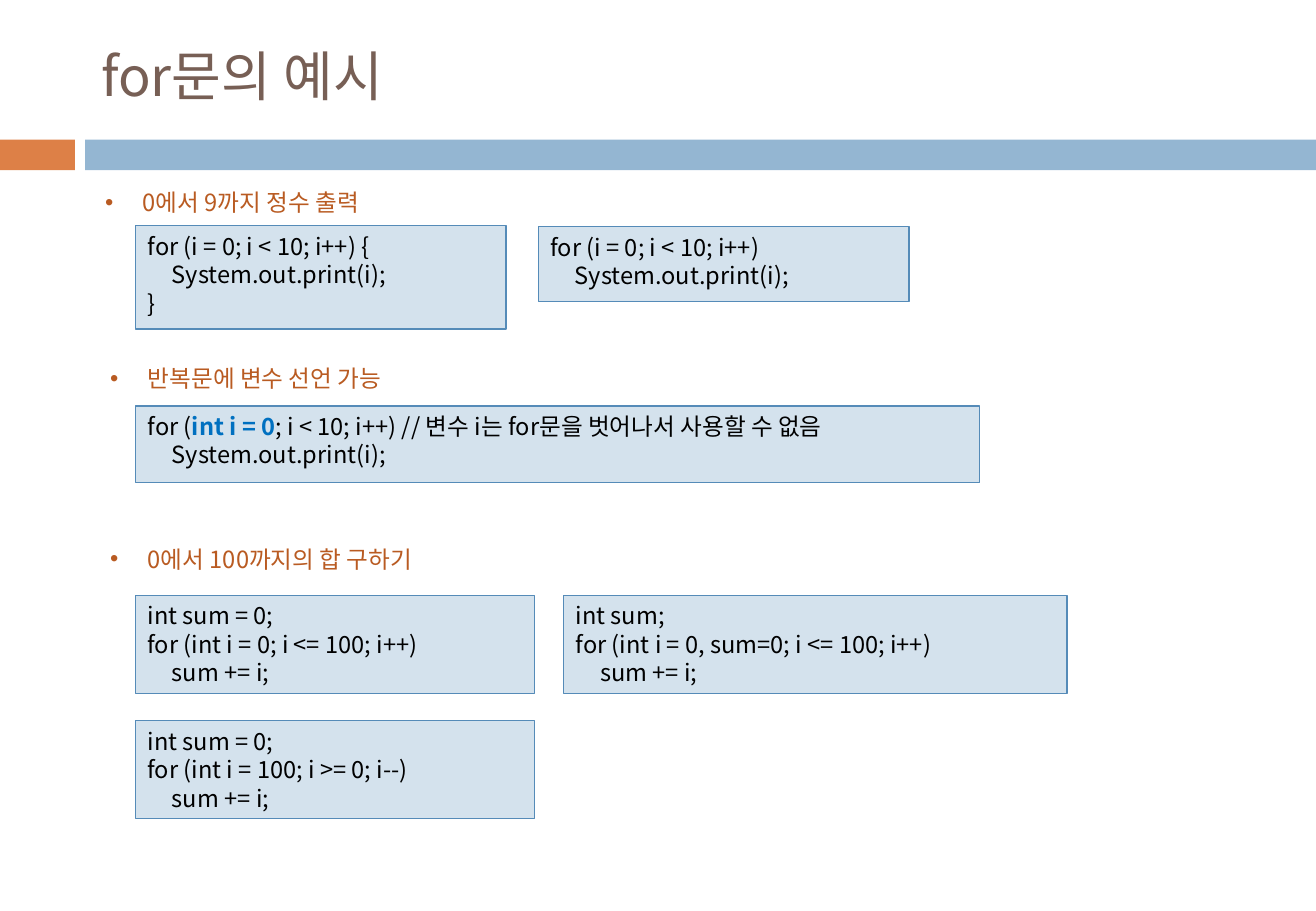
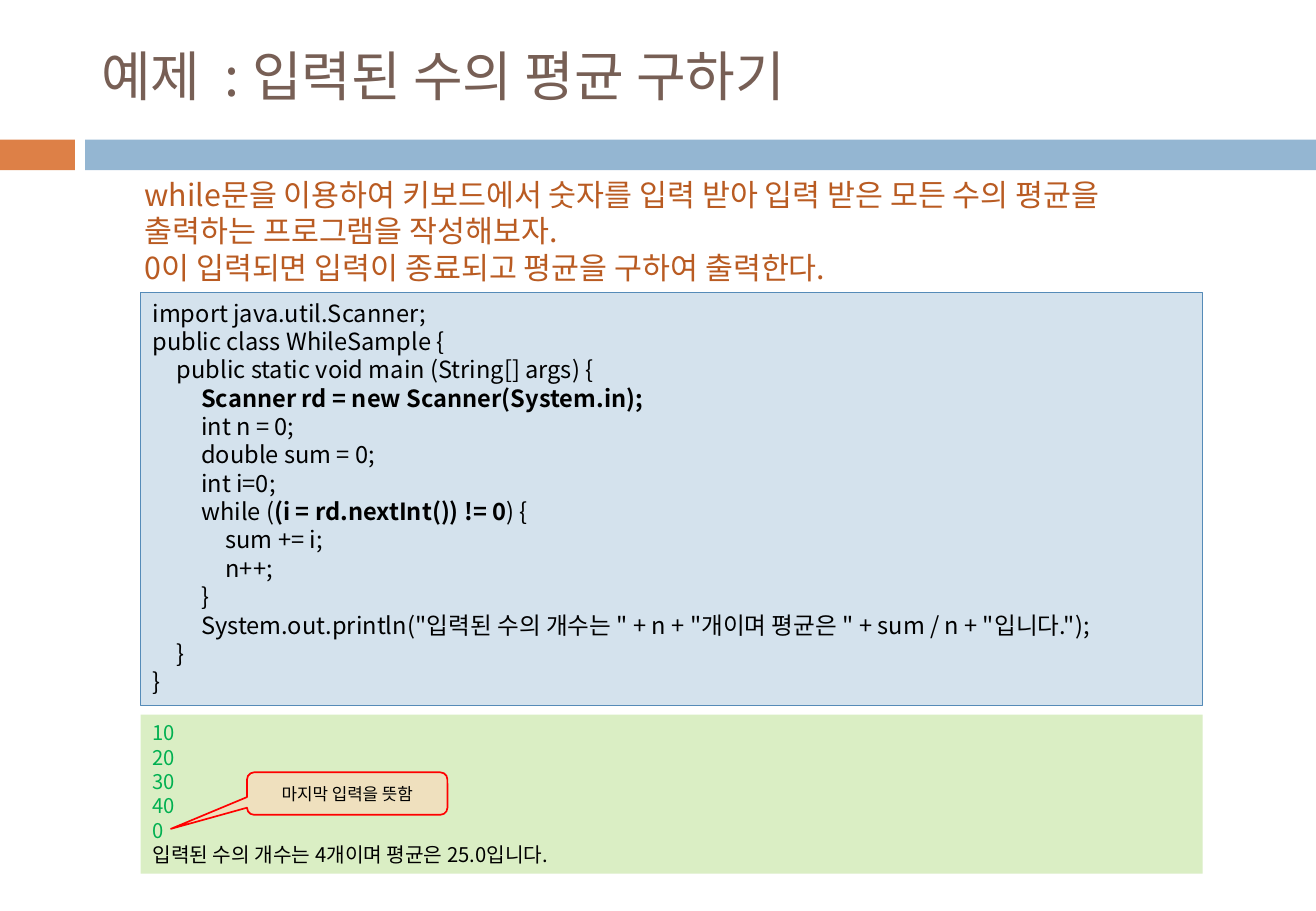
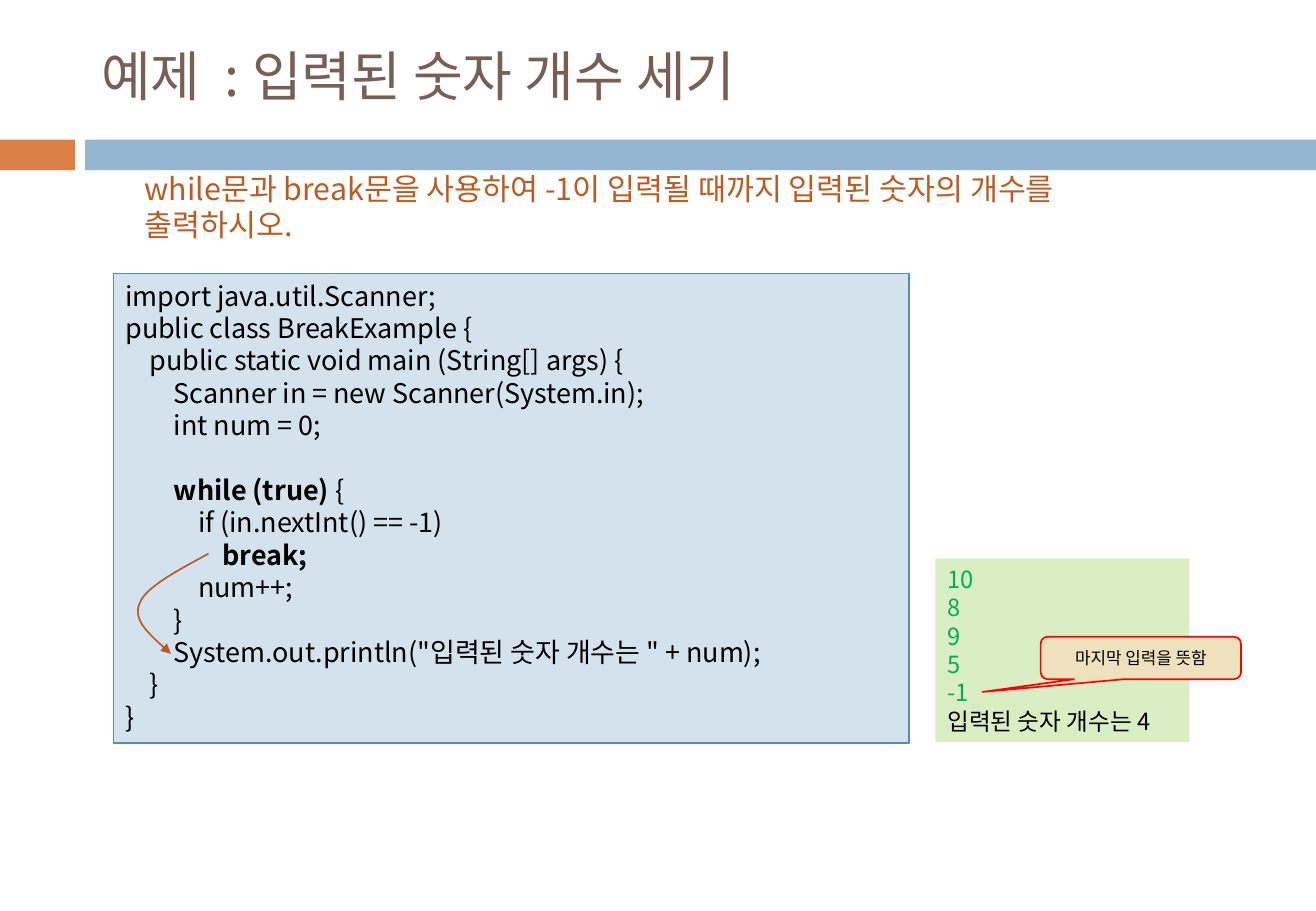
from lxml import etree
from pptx import Presentation
from pptx.dml.color import RGBColor
from pptx.enum.shapes import MSO_SHAPE
from pptx.enum.text import MSO_ANCHOR, PP_ALIGN
from pptx.oxml.ns import qn
from pptx.util import Inches, Pt

RECTANGLE = MSO_SHAPE.RECTANGLE
CALLOUT = MSO_SHAPE.ROUNDED_RECTANGULAR_CALLOUT
TOP, MIDDLE = MSO_ANCHOR.TOP, MSO_ANCHOR.MIDDLE
LEFT, CENTER = PP_ALIGN.LEFT, PP_ALIGN.CENTER

FONT = "Noto Sans CJK KR"
BLACK = RGBColor(0x00, 0x00, 0x00)
BROWN = RGBColor(0x77, 0x5F, 0x55)
ORANGE = RGBColor(0xDD, 0x80, 0x47)
RUST = RGBColor(0xB9, 0x5B, 0x22)
BAND_BLUE = RGBColor(0x94, 0xB6, 0xD2)
CODE_FILL = RGBColor(0xD4, 0xE2, 0xED)
CODE_LINE = RGBColor(0x55, 0x8B, 0xB8)
KEYWORD_BLUE = RGBColor(0x00, 0x70, 0xC0)
OUTPUT_FILL = RGBColor(0xDA, 0xEE, 0xC4)
INPUT_GREEN = RGBColor(0x00, 0xB0, 0x50)
NOTE_FILL = RGBColor(0xEF, 0xE0, 0xBE)
RED = RGBColor(0xFF, 0x00, 0x00)

# The slide is a grid of 130 columns by 90 rows of square cells.
COLUMNS, ROWS = 130, 90
CELL = Inches(1) // 12
BAND_ROW, BAND_ROWS = 13.8, 3
CODE_COL = 13.4
SUM_ROW, SUM_COLS, SUM_ROWS = 58.8, 39.4, 9.7
AVERAGE_COL, AVERAGE_COLS = 13.9, 104.9
PROMPT_COL, PROMPT_COLS = 13.1, 102.6
INDENT = Inches(0.2)
BULLET_INDENT = Inches(0.31)
LINE_HEIGHT = 1.2

PRINT_BRACES = """for (i = 0; i < 10; i++) {
    System.out.print(i);
}"""
PRINT_PLAIN = """for (i = 0; i < 10; i++)
    System.out.print(i);"""
PRINT_LOCAL = """for (**int i = 0**; i < 10; i++) // 변수 i는 for문을 벗어나서 사용할 수 없음
    System.out.print(i);"""
SUM_UP = """int sum = 0;
for (int i = 0; i <= 100; i++)
    sum += i;"""
SUM_IN_HEADER = """int sum;
for (int i = 0, sum=0; i <= 100; i++)
    sum += i;"""
SUM_DOWN = """int sum = 0;
for (int i = 100; i >= 0; i--)
    sum += i;"""
AVERAGE_CODE = """import java.util.Scanner;
public class WhileSample {
    public static void main (String[] args) {
        **Scanner rd = new Scanner(System.in);**
        int n = 0;
        double sum = 0;
        int i=0;
        while (**(i = rd.nextInt()) != 0**) {
            sum += i;
            n++;
        }
        System.out.println("입력된 수의 개수는 " + n + "개이며 평균은 " + sum / n + "입니다.");
    }
}"""
BREAK_CODE = """import java.util.Scanner;
public class BreakExample {
    public static void main (String[] args) {
        Scanner in = new Scanner(System.in);
        int num = 0;

        **while (true) **{
            if (in.nextInt() == -1)
                **break;**
            num++;
        }
        System.out.println("입력된 숫자 개수는 " + num);
    }
}"""


def cells(*counts):
    return [round(count * CELL) for count in counts]


def format_paragraph(paragraph, size, color):
    font = paragraph.font
    font.size, font.name = Pt(size), FONT
    font.color.rgb = color
    defaults = paragraph._p.pPr.find(qn("a:defRPr"))
    etree.SubElement(defaults, qn("a:ea"), typeface=FONT)


def add_tab_stops(paragraph):
    stops = etree.SubElement(paragraph._p.get_or_add_pPr(), qn("a:tabLst"))
    for level in range(1, 5):
        etree.SubElement(stops, qn("a:tab"), pos=str(level * INDENT), algn="l")


def add_bullet(paragraph):
    properties = paragraph._p.get_or_add_pPr()
    properties.set("marL", str(BULLET_INDENT))
    properties.set("indent", str(-BULLET_INDENT))
    etree.SubElement(properties, qn("a:buFont"), typeface="Arial")
    etree.SubElement(properties, qn("a:buChar"), char="•")


def write_lines(shape, lines, size, color, anchor=TOP, align=LEFT,
                prepare=None, strong_color=None):
    """Write one paragraph per line; text between ** marks is bold."""
    frame = shape.text_frame
    frame.word_wrap = True
    frame.vertical_anchor = anchor
    for number, line in enumerate(lines):
        paragraph = frame.paragraphs[0] if number == 0 else frame.add_paragraph()
        paragraph.alignment = align
        if prepare:
            prepare(paragraph)
        format_paragraph(paragraph, size, color)
        paragraph.line_spacing = Pt(size * LINE_HEIGHT)
        for part, text in enumerate(line.split("**")):
            if not text:
                continue
            run = paragraph.add_run()
            run.text = text
            if part % 2:
                run.font.bold = True
                if strong_color:
                    run.font.color.rgb = strong_color


def add_panel(slide, box, fill, line=None, width=0.75, kind=RECTANGLE):
    panel = slide.shapes.add_shape(kind, *cells(*box))
    panel.shadow.inherit = False
    panel.fill.solid()
    panel.fill.fore_color.rgb = fill
    if line:
        panel.line.color.rgb = line
        panel.line.width = Pt(width)
    else:
        panel.line.fill.background()
    return panel


def add_code(slide, box, code, size=14, strong_color=None):
    panel = add_panel(slide, box, CODE_FILL, CODE_LINE)
    lines = code.replace("    ", "\t").split("\n")
    write_lines(panel, lines, size, BLACK, prepare=add_tab_stops,
                strong_color=strong_color)


def add_output(slide, box, inputs, result, size):
    panel = add_panel(slide, box, OUTPUT_FILL)
    write_lines(panel, [*inputs, result], size, INPUT_GREEN)
    panel.text_frame.paragraphs[-1].font.color.rgb = BLACK


def add_last_input_note(slide, col, row, tip_x, tip_y):
    """Add a callout whose tip is given as shares of its size, from its centre."""
    note = add_panel(slide, (col, row, 19.8, 4.2), NOTE_FILL, RED, 1, CALLOUT)
    note.adjustments[0], note.adjustments[1] = tip_x, tip_y
    write_lines(note, ["마지막 입력을 뜻함"], 10, BLACK, MIDDLE, CENTER)


def add_text(slide, box, lines, size, prepare=None):
    label = slide.shapes.add_textbox(*cells(*box))
    write_lines(label, lines, size, RUST, prepare=prepare)


def add_curved_arrow(slide, start, *points):
    """Draw Bezier curves from start, three points to each curve."""
    builder = slide.shapes.build_freeform(*cells(*start))
    builder.add_line_segments([cells(*point) for point in points], close=False)
    arrow = builder.convert_to_shape()
    arrow.shadow.inherit = False
    arrow.fill.background()
    arrow.line.color.rgb = RUST
    arrow.line.width = Pt(1)
    etree.SubElement(arrow.line._get_or_add_ln(), qn("a:tailEnd"), type="triangle")
    outline = next(arrow._element.iter(qn("a:path")))
    segments = outline.findall(qn("a:lnTo"))
    for first in range(0, len(segments), 3):
        curve = etree.SubElement(outline, qn("a:cubicBezTo"))
        for segment in segments[first:first + 3]:
            curve.append(segment[0])
            outline.remove(segment)


def add_titled_slide(prs, layout, text):
    slide = prs.slides.add_slide(layout)
    title = slide.shapes.title
    title.text_frame.text = text
    title.text_frame.vertical_anchor = MIDDLE
    paragraph = title.text_frame.paragraphs[0]
    paragraph.alignment = LEFT
    format_paragraph(paragraph, 32, BROWN)
    return slide


def place_title(layout):
    title = layout.placeholders[0]
    title.left, title.top, title.width, title.height = cells(8.8, 3, 116, 8.9)


def move_bands_to_layout(slide, layout):
    """Draw the bands on a slide, then hand them to the layout all slides share."""
    for col, width, color in ((0, 7.4, ORANGE), (8.4, COLUMNS - 8.4, BAND_BLUE)):
        band = add_panel(slide, (col, BAND_ROW, width, BAND_ROWS), color)
        layout.shapes._spTree.append(band._element)


def fill_for_examples(slide):
    headings = ((9.2, 18, "0에서 9까지 정수 출력"),
                (9.7, 35.4, "반복문에 변수 선언 가능"),
                (9.7, 53.2, "0에서 100까지의 합 구하기"))
    for col, row, heading in headings:
        add_text(slide, (col, row, 36, 4.1), [heading], 14, add_bullet)
    add_code(slide, (CODE_COL, 22.3, 36.6, 10.2), PRINT_BRACES)
    add_code(slide, (53.2, 22.4, 36.6, 7.4), PRINT_PLAIN)
    add_code(slide, (CODE_COL, 40.1, 83.4, 7.6), PRINT_LOCAL,
             strong_color=KEYWORD_BLUE)
    add_code(slide, (CODE_COL, SUM_ROW, SUM_COLS, SUM_ROWS), SUM_UP)
    add_code(slide, (55.7, SUM_ROW, 49.7, SUM_ROWS), SUM_IN_HEADER)
    add_code(slide, (CODE_COL, 71.2, SUM_COLS, SUM_ROWS), SUM_DOWN)


def fill_average_example(slide):
    add_text(slide, (PROMPT_COL, 16.8, PROMPT_COLS, 12.1), [
        "while문을 이용하여 키보드에서 숫자를 입력 받아 입력 받은 모든 수의 평균을 "
        "출력하는 프로그램을 작성해보자.",
        "0이 입력되면 입력이 종료되고 평균을 구하여 출력한다."], 18)
    add_code(slide, (AVERAGE_COL, 28.9, AVERAGE_COLS, 40.8), AVERAGE_CODE)
    add_output(slide, (AVERAGE_COL, 70.6, AVERAGE_COLS, 15.7),
               ["10", "20", "30", "40", "0"],
               "입력된 수의 개수는 4개이며 평균은 25.0입니다.", 12)
    add_last_input_note(slide, 24.4, 76.3, -0.88, 0.83)


def fill_break_example(slide):
    add_text(slide, (PROMPT_COL, 16.2, PROMPT_COLS, 8.5), [
        "while문과 break문을 사용하여 -1이 입력될 때까지 입력된 숫자의 개수를 "
        "출력하시오."], 18)
    add_code(slide, (11.2, 27, 78.6, 46.4), BREAK_CODE, 16)
    add_output(slide, (92.4, 55.2, 25.1, 18.1), ["10", "8", "9", "5", "-1"],
               "입력된 숫자 개수는 4", 14)
    add_last_input_note(slide, 102.8, 62.9, -0.79, 0.8)
    add_curved_arrow(slide, (20.6, 54.7),
                     (17.5, 56.4), (14.4, 58), (13.8, 59.6),
                     (13.1, 61.2), (15, 62.9), (16.9, 64.6))


def main():
    prs = Presentation()
    prs.slide_width, prs.slide_height = cells(COLUMNS, ROWS)
    layout = prs.slide_layouts[5]
    place_title(layout)
    examples = (("for문의 예시", fill_for_examples),
                ("예제  : 입력된 수의 평균 구하기", fill_average_example),
                ("예제  : 입력된 숫자 개수 세기", fill_break_example))
    for title, fill_slide in examples:
        fill_slide(add_titled_slide(prs, layout, title))
    move_bands_to_layout(prs.slides[0], layout)
    prs.save("out.pptx")


if __name__ == "__main__":
    main()
